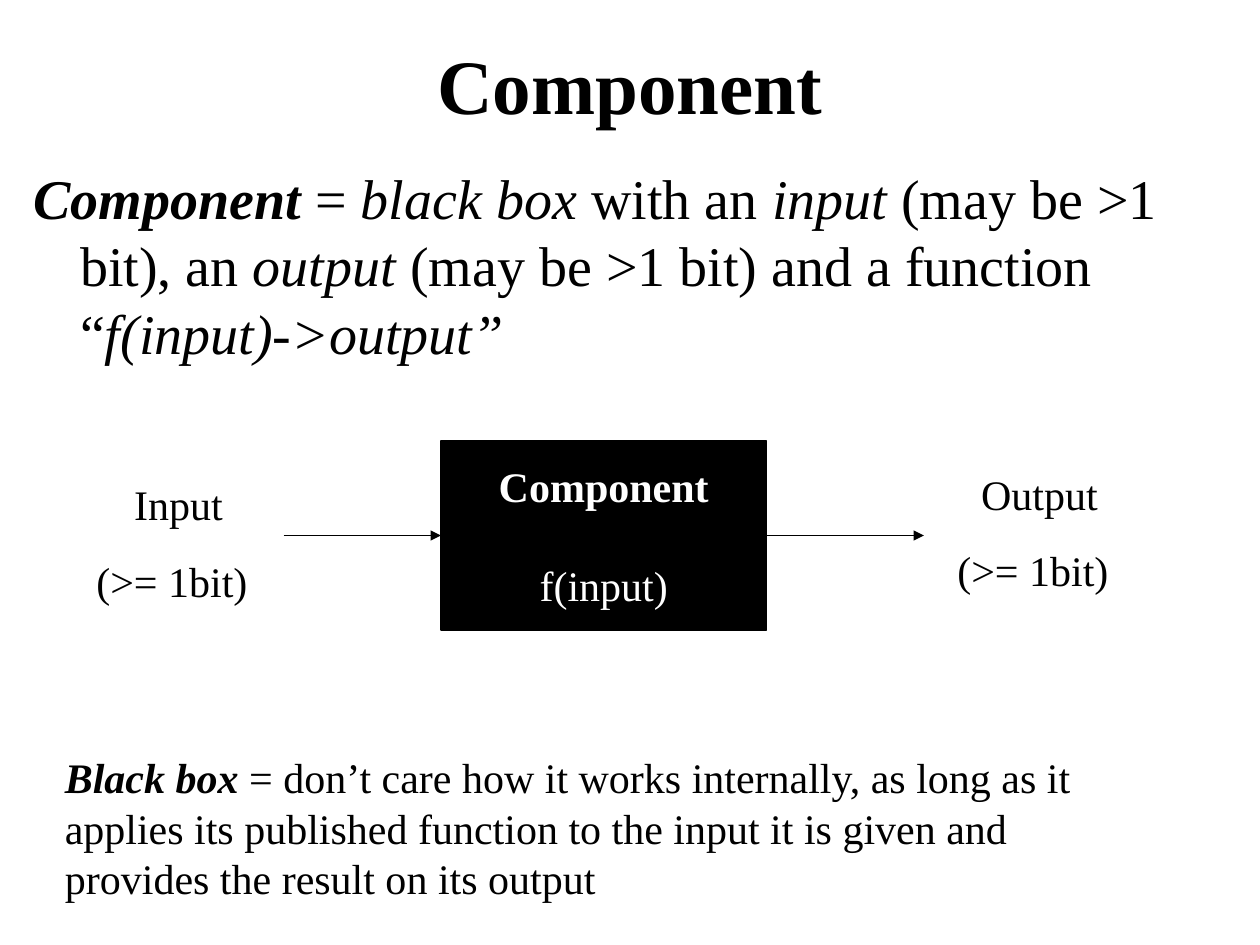
from dataclasses import dataclass, field

from lxml import etree
from pptx import Presentation
from pptx import util as u
from pptx.dml.color import RGBColor
from pptx.enum import shapes, text
from pptx.oxml.ns import qn

BLACK = RGBColor(0, 0, 0)
WHITE = RGBColor(255, 255, 255)
FONT = "Times New Roman"
COLS, ROWS = 120, 90
WIDTH, HEIGHT = u.Inches(10), u.Inches(7.5)
LEFT, CENTER = text.PP_ALIGN.LEFT, text.PP_ALIGN.CENTER
TOP, MIDDLE = text.MSO_ANCHOR.TOP, text.MSO_ANCHOR.MIDDLE

PLAIN = {"bold": False, "italic": False}
BOLD = {"bold": True, "italic": False}
ITALIC = {"bold": False, "italic": True}
BOLD_ITALIC = {"bold": True, "italic": True}


@dataclass
class Para:
    runs: list[tuple[str, dict]]
    align: text.PP_ALIGN = LEFT
    before: float = 0
    hanging: float = 0


@dataclass
class Block:
    """Text placed at (column, row, columns wide, rows high)."""
    cell: tuple[float, float, float, float]
    size: float
    paras: list[Para] = field(default_factory=list)
    anchor: text.MSO_ANCHOR = TOP
    color: RGBColor = BLACK
    fill: RGBColor | None = None
    wrap: bool = True


def x(col: float) -> int:
    return round(WIDTH * col / COLS)


def y(row: float) -> int:
    return round(HEIGHT * row / ROWS)


def write(tf, block: Block) -> None:
    tf.word_wrap, tf.vertical_anchor = block.wrap, block.anchor
    for i, para in enumerate(block.paras):
        p = tf.add_paragraph() if i else tf.paragraphs[0]
        p.alignment, p.space_before = para.align, u.Pt(para.before)
        if para.hanging:
            pPr = p._p.get_or_add_pPr()
            pPr.set("marL", str(u.Inches(para.hanging)))
            pPr.set("indent", str(-u.Inches(para.hanging)))
        for words, style in para.runs:
            r = p.add_run()
            r.text = words
            for name, value in {"name": FONT, "size": u.Pt(block.size), **style}.items():
                setattr(r.font, name, value)
            r.font.color.rgb = block.color


def draw_block(s, block: Block) -> None:
    col, row, cols, rows = block.cell
    box = x(col), y(row), x(cols), y(rows)
    if block.fill is None:
        sp = s.shapes.add_textbox(*box)
    else:
        sp = s.shapes.add_shape(shapes.MSO_SHAPE.RECTANGLE, *box)
        sp.shadow.inherit = False
        sp.fill.solid()
        sp.fill.fore_color.rgb = sp.line.color.rgb = block.fill
        sp.line.width = u.Pt(0.75)
    write(sp.text_frame, block)


def draw_arrow(s, start: float, end: float, row: float) -> None:
    c = s.shapes.add_connector(shapes.MSO_CONNECTOR.STRAIGHT, x(start), y(row), x(end), y(row))
    c.line.color.rgb, c.line.width = BLACK, u.Pt(0.75)
    etree.SubElement(c.line._get_or_add_ln(), qn("a:tailEnd"), type="triangle")
    etree.SubElement(c._element.spPr, qn("a:effectLst"))


def signal(name: str, col: float, row: float) -> Block:
    return Block((col, row, 18, 13.3), 24, [
        Para([(name, PLAIN)], CENTER, 15),
        Para([("(>= 1bit)", PLAIN)], before=15),
    ])


BOX = (42, 42, 31, 18)
ARROW_LENGTH = 15

BLOCKS = [
    Block((9, 3, 102, 10), 44, [Para([("Component", BOLD)], CENTER)], MIDDLE),
    Block((2, 15, 116, 72), 32, [Para([
        ("Component", BOLD_ITALIC), (" = ", PLAIN), ("black box", ITALIC),
        (" with an ", PLAIN), ("input", ITALIC), (" (may be >1 bit), an ", PLAIN),
        ("output", ITALIC), (" (may be >1 bit) and a function “", PLAIN),
        ("f(input)->output”", ITALIC),
    ], before=8, hanging=0.37)]),
    Block(BOX, 24, [
        Para([("Component", BOLD)], CENTER),
        Para([("f(input)", PLAIN)], CENTER, before=27.6),
    ], MIDDLE, WHITE, BLACK, wrap=False),
    signal("Input", 8, 45),
    signal("Output", 90, 44),
    Block((5, 71, 103, 15.6), 24, [Para([
        ("Black box", BOLD_ITALIC),
        (" = don’t care how it works internally, as long as it applies its published "
         "function to the input it is given and provides the result on its output", PLAIN),
    ], before=15)]),
]


def main() -> None:
    prs = Presentation()
    prs.slide_width, prs.slide_height = WIDTH, HEIGHT
    s = prs.slides.add_slide(prs.slide_layouts[6])
    for block in BLOCKS:
        draw_block(s, block)
    left, top, cols, rows = BOX
    for start in (left - ARROW_LENGTH, left + cols):
        draw_arrow(s, start, start + ARROW_LENGTH, top + rows / 2)
    prs.save("out.pptx")


if __name__ == "__main__":
    main()
